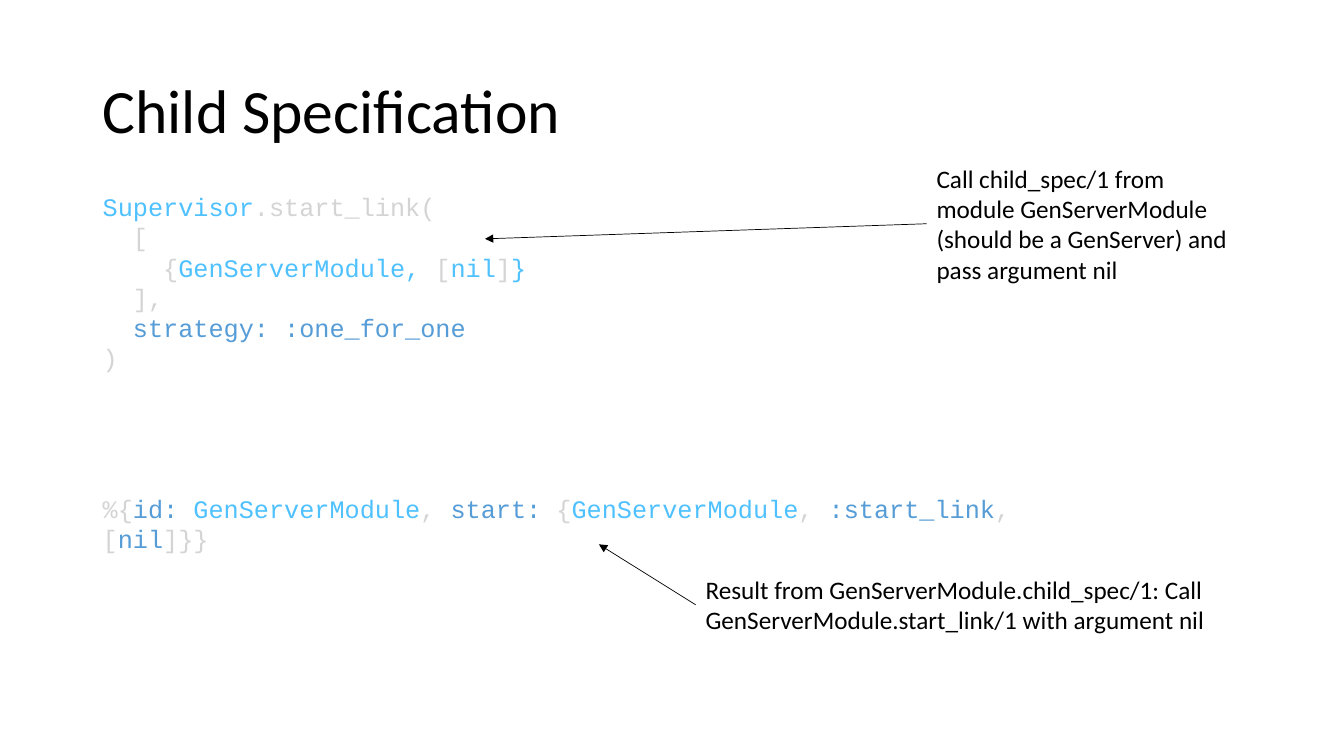
from dataclasses import dataclass

import pptx
import pptx.dml.color
import pptx.enum.shapes
import pptx.enum.text
import pptx.oxml
import pptx.oxml.ns
import pptx.slide
import pptx.text.text
import pptx.util

Inches = pptx.util.Inches
Pt = pptx.util.Pt
RGBColor = pptx.dml.color.RGBColor

BLACK = RGBColor(0x00, 0x00, 0x00)
GREY = RGBColor(0xD4, 0xD4, 0xD4)
SKY = RGBColor(0x4F, 0xC1, 0xFF)
BLUE = RGBColor(0x56, 0x9C, 0xD6)
SANS = "Calibri"
MONO = "Courier New"
STEP = 0.3  # width of one two-character code indent


@dataclass
class Line:
    tokens: list[tuple[str, RGBColor]]
    depth: int = 0
    gap: float = 0  # points above the line


@dataclass
class Note:
    text: str
    box: tuple[float, float, float, float]
    start: tuple[float, float]
    end: tuple[float, float]


CODE = [
    Line([("Supervisor", SKY), (".start_link(", GREY)]),
    Line([("[", GREY)], 1),
    Line([("{", GREY), ("GenServerModule, ", SKY), ("[", GREY),
          ("nil", SKY), ("]", GREY), ("}", SKY)], 2),
    Line([("],", GREY)], 1),
    Line([("strategy: :one_for_one", BLUE)], 1),
    Line([(")", GREY)]),
    Line([("%{", GREY), ("id: ", BLUE), ("GenServerModule", SKY),
          (", ", GREY), ("start:", BLUE), (" {", GREY),
          ("GenServerModule", SKY), (", ", GREY), (":start_link", BLUE),
          (", [", GREY), ("nil", BLUE), ("]}}", GREY)], gap=86),
]

NOTES = [
    Note("Call child_spec/1 from module GenServerModule "
         "(should be a GenServer) and pass argument nil",
         (9.19, 1.57, 3.22, 1.31), (9.19, 2.22), (4.81, 2.37)),
    Note("Result from GenServerModule.child_spec/1: Call "
         "GenServerModule.start_link/1 with argument nil",
         (6.9, 5.65, 5.86, 0.71), (6.9, 6), (5.94, 5.4)),
]


def add_box(slide: pptx.slide.Slide,
            box: tuple[float, float, float, float]) -> pptx.text.text.TextFrame:
    frame = slide.shapes.add_textbox(*map(Inches, box)).text_frame
    frame.word_wrap = True
    return frame


def add_run(para, text: str, color: RGBColor, face: str = SANS,
            size: float = 18) -> None:
    run = para.add_run()
    run.text = text
    run.font.name = face
    run.font.size = Pt(size)
    run.font.color.rgb = color


def add_code(slide: pptx.slide.Slide) -> None:
    frame = add_box(slide, (0.92, 1.85, 10.27, 3.74))
    for i, line in enumerate(CODE):
        para = frame.add_paragraph() if i else frame.paragraphs[0]
        para.space_before = Pt(line.gap)
        props = para._p.get_or_add_pPr()
        props.set("marL", str(Inches(line.depth * STEP)))
        props.set("indent", "0")
        for text, color in line.tokens:
            add_run(para, text, color, MONO)


def add_arrow(slide: pptx.slide.Slide, start: tuple[float, float],
              end: tuple[float, float]) -> None:
    arrow = slide.shapes.add_connector(
        pptx.enum.shapes.MSO_CONNECTOR.STRAIGHT, *map(Inches, start + end))
    arrow.line.color.rgb = BLACK
    arrow.line.width = Pt(0.5)
    tail = pptx.oxml.parse_xml(
        f'<a:tailEnd {pptx.oxml.ns.nsdecls("a")} type="triangle"/>')
    arrow.line._get_or_add_ln().append(tail)
    arrow._element.spPr.append(
        pptx.oxml.parse_xml(f'<a:effectLst {pptx.oxml.ns.nsdecls("a")}/>'))


def main() -> None:
    deck = pptx.Presentation()
    deck.slide_width, deck.slide_height = Inches(13.33), Inches(7.5)
    slide = deck.slides.add_slide(deck.slide_layouts[6])

    # Title
    frame = add_box(slide, (0.92, 0.4, 11.5, 1.45))
    frame.vertical_anchor = pptx.enum.text.MSO_ANCHOR.MIDDLE
    frame.paragraphs[0].line_spacing = 0.9
    add_run(frame.paragraphs[0], "Child Specification", BLACK, size=44)

    # Code sample
    add_code(slide)

    # Notes with their arrows
    for note in NOTES:
        frame = add_box(slide, note.box)
        add_run(frame.paragraphs[0], note.text, BLACK)
        add_arrow(slide, note.start, note.end)

    deck.save("out.pptx")


if __name__ == "__main__":
    main()
